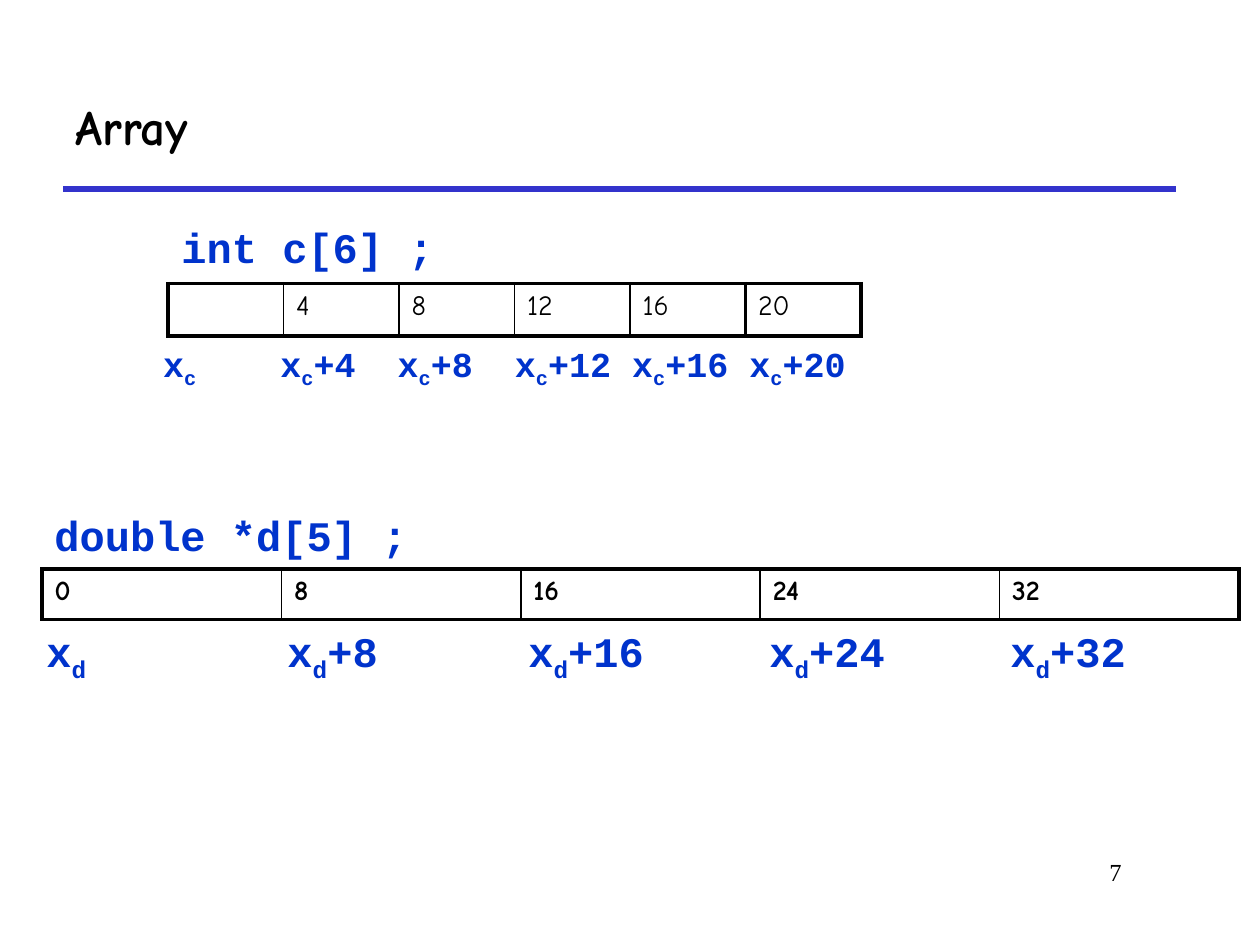
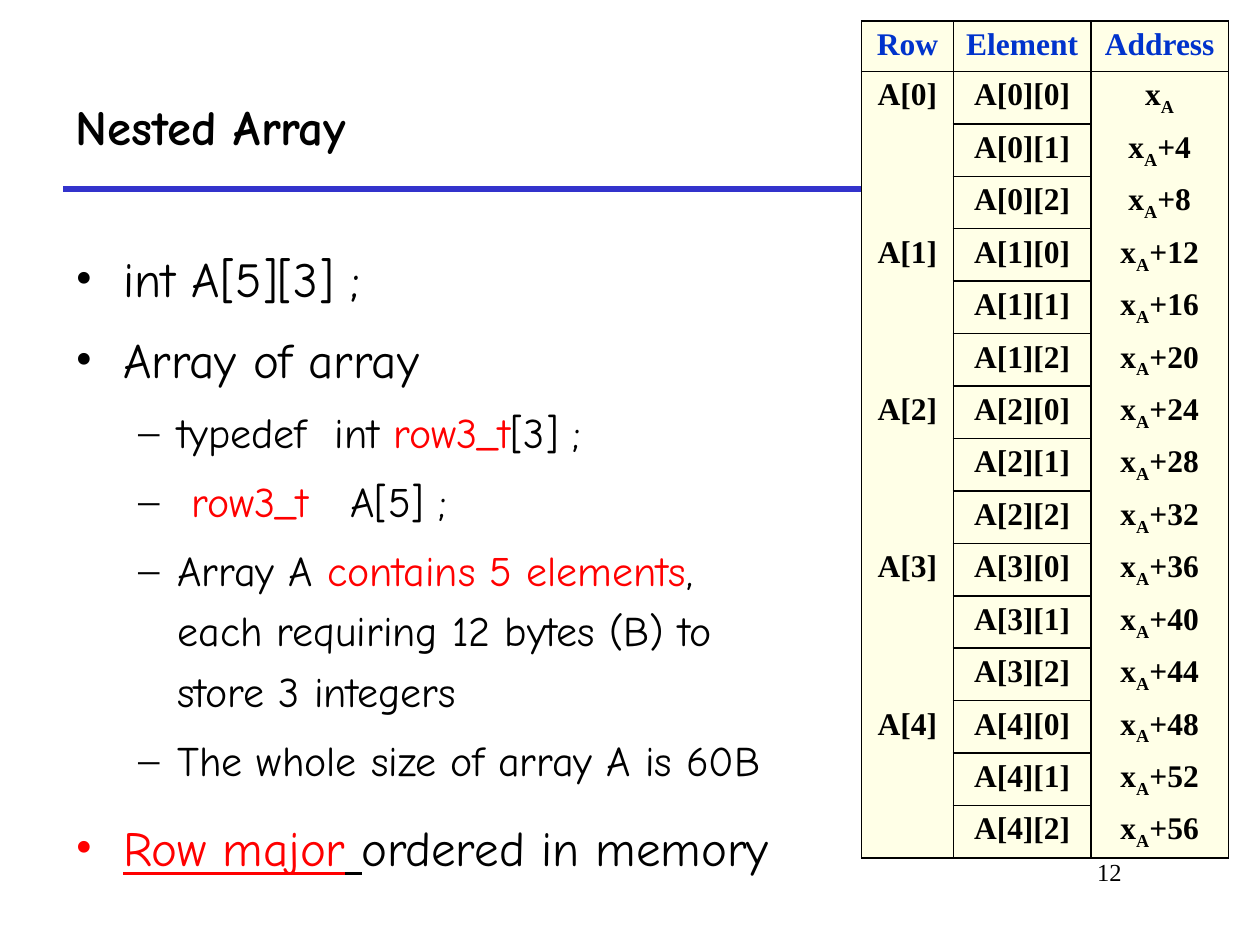
from lxml.etree import SubElement
from pptx import Presentation
from pptx.dml.color import RGBColor
from pptx.enum.shapes import MSO_CONNECTOR
from pptx.enum.text import MSO_ANCHOR, MSO_AUTO_SIZE, PP_ALIGN
from pptx.oxml import parse_xml
from pptx.oxml.ns import nsdecls, qn
from pptx.util import Inches, Pt

BLACK = RGBColor(0x00, 0x00, 0x00)
RED = RGBColor(0xFF, 0x00, 0x00)
CODE_BLUE = RGBColor(0x00, 0x33, 0xCC)
RULE_BLUE = RGBColor(0x33, 0x33, 0xCC)
CREAM = RGBColor(0xFF, 0xFF, 0xE7)

UNIT = Inches(1 / 12)  # the slide is a grid of 120 columns and 90 rows
THIN, THICK = 1, 2.25
PLAIN_GRID = "{2D5ABB26-0587-4C30-8999-92F81FD0307C}"

HEADING = {"size": Pt(28), "name": "Comic Neue", "bold": True}
BULLET = {"size": Pt(28), "name": "Comic Neue"}
DASH = {"size": Pt(24), "name": "Comic Neue"}
OFFSET = {"size": Pt(16), "name": "Comic Neue"}
FOOTER = {"size": Pt(14), "name": "Times New Roman"}
CELL = {"size": Pt(18), "name": "Times New Roman", "bold": True}


def code(size):
    """Format of bold blue code text."""
    return {"size": Pt(size), "name": "Courier New", "bold": True, "color": CODE_BLUE}


def grid(*cells):
    """Turn grid columns or rows into lengths."""
    return [round(UNIT * cell) for cell in cells]


def write(paragraph, runs, base):
    """Add (text, changes) runs on top of a base format."""
    for text, changes in runs:
        if text == "\n":
            paragraph.add_line_break()
            continue
        run = paragraph.add_run()
        run.text = text
        style = {"color": BLACK, **base, **changes}
        run.font.color.rgb = style.pop("color")
        for key, value in style.items():
            if key in ("baseline", "spc"):
                run.font._element.set(key, str(value))
            else:
                setattr(run.font, key, value)


def address(symbol, index, offset):
    """Runs of a start address with its subscript and byte offset."""
    runs = [(symbol, {}), (index, {"baseline": -25000})]
    return runs + [(f"+{offset}", {})] if offset else runs


def indent(paragraph, left, hanging):
    """Give a paragraph a hanging indent in inches."""
    props = paragraph._p.get_or_add_pPr()
    props.set("marL", str(Inches(left)))
    props.set("indent", str(Inches(-hanging)))
    return props


def add_text(slide, place, runs, style, anchor=MSO_ANCHOR.TOP, align=PP_ALIGN.LEFT):
    """Add a wrapped text box with one paragraph."""
    frame = slide.shapes.add_textbox(*grid(*place)).text_frame
    frame.word_wrap, frame.vertical_anchor = True, anchor
    frame.paragraphs[0].alignment = align
    write(frame.paragraphs[0], runs, style)
    return frame


def add_code(slide, column, row, runs, size):
    """Add one unwrapped line of code in a box that fits it."""
    letters = sum(len(text) * (0.6 if "baseline" in changes else 1)
                  for text, changes in runs)
    width = 0.22 + letters * 0.6 * size / 72
    height = 0.1 + 0.017 * size
    frame = add_text(slide, (column, row, width * 12, height * 12), runs, code(size))
    frame.word_wrap, frame.auto_size = False, MSO_AUTO_SIZE.SHAPE_TO_FIT_TEXT
    indent(frame.paragraphs[0], 0.38, 0.38)
    frame.paragraphs[0].space_before = Pt(0.2 * size)


def add_frame(slide, title, number):
    """Start a slide: rule, title and page number."""
    x1, y, x2 = grid(6, 18, 112)
    rule = slide.shapes.add_connector(MSO_CONNECTOR.STRAIGHT, x1, y, x2, y)
    rule.line.color.rgb, rule.line.width = RULE_BLUE, Pt(3)
    SubElement(rule._element.spPr, qn("a:effectLst"))
    add_text(slide, (6, 6, 106, 12), [(title, {})], HEADING, MSO_ANCHOR.MIDDLE)
    add_text(slide, (91, 81, 17, 6), [(str(number), {})], FOOTER, align=PP_ALIGN.RIGHT)


def set_borders(cell, **widths):
    """Draw black cell edges, given as L, R, T, B widths; the rest stay open."""
    props = cell._tc.get_or_add_tcPr()
    for place, edge in enumerate("LRTB"):
        if edge in widths:
            size = f' w="{Pt(widths[edge])}"'
            paint = f'<a:solidFill><a:srgbClr val="{BLACK}"/></a:solidFill>'
        else:
            size, paint = "", "<a:noFill/>"
        props.insert(place, parse_xml(
            f'<a:ln{edge} {nsdecls("a")}{size}>{paint}</a:ln{edge}>'))


def add_grid_table(slide, place, widths, rows, row_height):
    """Add an unstyled table with given column widths and equal rows."""
    left, top = grid(*place)
    table = slide.shapes.add_table(rows, len(widths), left, top,
                                   *grid(sum(widths), rows * row_height)).table
    table.first_row = table.horz_banding = False
    table._tbl.tblPr.find(qn("a:tableStyleId")).text = PLAIN_GRID
    for column, width in zip(table.columns, grid(*widths)):
        column.width = width
    for row in table.rows:
        row.height = grid(row_height)[0]
    return table


def add_memory_strip(slide, place, width, height, offsets, style, thick_edges):
    """Add a one-row table of byte offsets; thick_edges are vertical lines."""
    table = add_grid_table(slide, place, [width] * len(offsets), 1, height)
    for i, offset in enumerate(offsets):
        cell = table.cell(0, i)
        cell.fill.background()
        left, right = (THICK if edge in thick_edges else THIN for edge in (i, i + 1))
        set_borders(cell, L=left, R=right, T=THICK, B=THICK)
        if offset:
            paragraph = cell.text_frame.paragraphs[0]
            paragraph.space_before = Pt(3.2)
            write(paragraph, [(offset, {})], style)


def add_address_table(slide):
    """Add the table of the elements of A and their addresses."""
    table = add_grid_table(slide, (82.05, 2), [8.75, 13.1, 13.1], 16, 4.8)
    heads = [[(head, {"color": CODE_BLUE})] for head in ("Row", "Element", "Address")]
    body = [[[(f"A[{i}]" if j == 0 else "", {})], [(f"A[{i}][{j}]", {})],
             address("x", "A", 4 * (3 * i + j))]
            for i in range(5) for j in range(3)]
    for r, line in enumerate([heads] + body):
        for c, runs in enumerate(line):
            cell = table.cell(r, c)
            cell.fill.solid()
            cell.fill.fore_color.rgb = CREAM
            if r:
                cell.margin_bottom = Pt(1.8)  # room for the subscripts
            edges = {"L": THIN, "R": THIN}
            if c == 1 or r <= 1:
                edges["T"] = THIN
            if c == 1 or r in (0, 15):
                edges["B"] = THIN
            set_borders(cell, **edges)
            paragraph = cell.text_frame.paragraphs[0]
            paragraph.alignment = PP_ALIGN.CENTER
            if runs[0][0]:
                write(paragraph, runs, CELL)
            else:
                paragraph.font.size = CELL["size"]


def add_bullets(slide, place, items):
    """Add (level, line spacing, runs) items as a bulleted list."""
    levels = [("•", BULLET, 0.38, 0.38), ("–", DASH, 0.81, 0.31)]
    frame = add_text(slide, place, [], BULLET)
    for n, (level, spacing, runs) in enumerate(items):
        paragraph = frame.add_paragraph() if n else frame.paragraphs[0]
        mark, style, left, hanging = levels[level]
        paragraph.level, paragraph.line_spacing = level, spacing
        paragraph.space_before = Pt(0.2 * style["size"].pt)
        props = indent(paragraph, left, hanging)
        SubElement(props, qn("a:buFont")).set("typeface", "Times New Roman")
        SubElement(props, qn("a:buChar")).set("char", mark)
        write(paragraph, runs, style)


def build_array(slide):
    """Slide on one-dimensional arrays."""
    add_frame(slide, "Array", 7)
    add_memory_strip(slide, (16, 27), 11, 5, ["", "4", "8", "12", "16", "20"],
                     OFFSET, (0, 5, 6))
    add_memory_strip(slide, (4, 54.2), 22.8, 4.8, ["0", "8", "16", "24", "32"],
                     {**OFFSET, "bold": True}, (0, 5))
    add_code(slide, 16.1, 20.5, [("int c[6] ;", {})], 24)
    add_code(slide, 4, 47.9, [("double *d[5] ;", {})], 24)
    for i in range(6):
        add_code(slide, 14.35 + 11.17 * i, 32, address("x", "c", 4 * i), 20)
    for i in range(5):
        add_code(slide, 3.25 + 22.95 * i, 59, address("x", "d", 8 * i), 24)


def build_nested_array(slide):
    """Slide on arrays of arrays."""
    add_frame(slide, "Nested Array", 12)
    add_address_table(slide)
    red = {"color": RED}
    add_bullets(slide, (6, 22, 84, 58), [
        (0, 1.2, [("int A[5][3] ;", {})]),
        (0, 1.2, [("Array of array", {})]),
        (1, 1.2, [("typedef", {}), (" ", {"spc": 800}), ("int ", {}),
                  ("row3_t", red), ("[3] ;", {})]),
        (1, 1.2, [(" ", {}), ("row3_t", red), (" ", {"spc": 1600}), ("A[5] ;", {})]),
        (1, 1.2, [("Array A ", {}), ("contains 5 elements", red), (", ", {}),
                  ("\n", {}), ("each requiring 12 bytes (B) to ", {}),
                  ("\n", {}), ("store 3 integers", {})]),
        (1, 1.2, [("The whole size of array A is 60B", {})]),
        (0, 1.4, [("Row major", {**red, "underline": True}),
                  (" ", {"underline": True}), ("ordered in memory", {})]),
    ])


def main():
    """Build both slides and save them."""
    deck = Presentation()
    deck.slide_width, deck.slide_height = grid(120, 90)
    for build in (build_array, build_nested_array):
        build(deck.slides.add_slide(deck.slide_layouts[6]))
    deck.save("out.pptx")


main()
